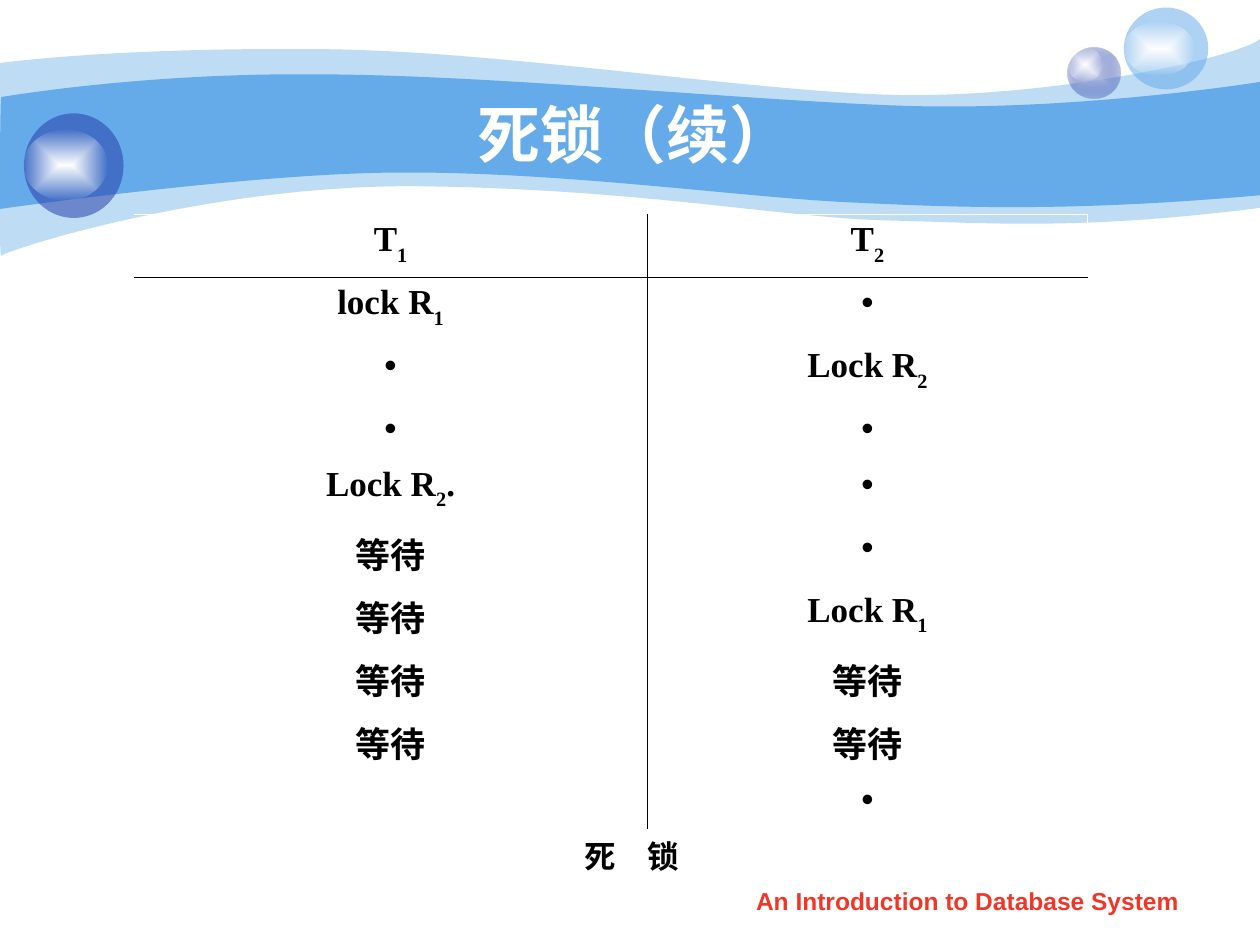
from lxml import etree
from pptx import Presentation, util as u
from pptx.dml.color import RGBColor
from pptx.enum import shapes, text
from pptx.oxml.ns import qn

# Content: an underscore puts the next character in subscript
TITLE = "死锁（续）"
SCHEDULE = [
    ("T_1", "T_2"),
    ("lock R_1", "•"),
    ("•", "Lock R_2"),
    ("•", "•"),
    ("Lock R_2.", "•"),
    ("等待", "•"),
    ("等待", "Lock R_1"),
    ("等待", "等待"),
    ("等待", "等待"),
    ("", "•"),
]
OUTCOME = "死　锁"
FOOTER = "An Introduction to Database System"

THEME = {
    "sky": "65AAE9", "navy": "233DA9", "pale": "C6CCE8", "white": "FFFFFF",
    "glow": "FEFEFE", "ink": "000000", "rule": 0.45,
    "title": {"size": u.Pt(36), "name": "Arial", "bold": True, "color": "FFFFFF"},
    "cell": {"size": u.Pt(20), "name": "Times New Roman", "bold": True, "color": "000000"},
    "outcome": {"size": u.Pt(18), "name": "Times New Roman", "bold": True, "color": "000000"},
    "footer": {"size": u.Pt(14), "name": "Arial", "bold": True, "color": "F03628"},
}

# Layout in inches
WIDTH, HEIGHT = 10, 7.5
TABLE_AT = (1.06, 1.7)
COLUMNS = (4.08, 3.49)
TALL, SHORT = 0.5, 0.44
ROWS = [TALL] * 3 + [SHORT] + [TALL] * 5 + [SHORT]
HANGING = 0.38
FRAME = {"margin_left": u.Inches(0.1), "margin_right": u.Inches(0.1),
         "margin_top": u.Inches(0.05), "margin_bottom": u.Inches(0.05)}

# Wave outlines: a start point, then a line (x, y) or a Bezier curve (six numbers)
WAVES = [
    (41, [(0, 0.5), (0.24, 0.47, 1.07, 0.38, 2.47, 0.39),
          (3.86, 0.39, 5.75, 0.7, 6.99, 0.75), (8.22, 0.8, 9.8, 0.47, 10, 0.31),
          (10, 1.65), (8.58, 1.83, 7.87, 1.77, 7.05, 1.75),
          (6.22, 1.73, 5.15, 1.51, 3.43, 1.48), (1.72, 1.44, 0.04, 1.99, 0.01, 2.03),
          (-0.01, 2.08, 0, 0.75, 0, 0.5)]),
    (100, [(0.01, 0.77), (0.02, 0.77, 1.1, 0.58, 2.48, 0.59),
           (3.86, 0.59, 5.95, 0.8, 7.18, 0.84), (8.41, 0.88, 9.76, 0.69, 10, 0.65),
           (10, 1.55), (8.53, 1.68, 7.65, 1.65, 6.82, 1.61),
           (5.99, 1.58, 4.47, 1.36, 3.17, 1.37), (2.03, 1.37, -0.02, 1.66, -0.01, 1.66),
           (0, 1.66, 0, 0.77, 0.01, 0.77)]),
]

# Bubbles: body and highlight boxes, body colour stops as (colour, alpha)
BUBBLES = [
    ((8.47, 0.38, 0.42, 0.4), (8.47, 0.38, 0.28, 0.27),
     [(THEME["pale"], 100), (THEME["navy"], 31)]),
    ((8.92, 0.06, 0.67, 0.65), (8.92, 0.17, 0.56, 0.43), [(THEME["sky"], 53)]),
    ((0.19, 0.9, 0.79, 0.83), (0.19, 1.03, 0.66, 0.56), [(THEME["navy"], 53)]),
]
HIGHLIGHT = [(THEME["white"], 100), (THEME["glow"], 0)]


def inches(*lengths):
    return [u.Inches(length) for length in lengths]


def add_color(parent, color, alpha=100):
    clr = etree.SubElement(parent, qn("a:srgbClr"), val=color)
    if alpha < 100:
        etree.SubElement(clr, qn("a:alpha"), val=str(alpha * 1000))


def paint(shape, stops):
    """One stop gives a solid fill, two a gradient out from the centre."""
    shape.shadow.inherit = False
    shape.line.fill.background()
    if len(stops) == 1:
        fill = etree.Element(qn("a:solidFill"))
        add_color(fill, *stops[0])
    else:
        fill = etree.Element(qn("a:gradFill"), rotWithShape="1")
        stop_list = etree.SubElement(fill, qn("a:gsLst"))
        for position, stop in zip((0, 100000), stops):
            add_color(etree.SubElement(stop_list, qn("a:gs"), pos=str(position)), *stop)
        gradient = etree.SubElement(fill, qn("a:path"), path="rect")
        etree.SubElement(gradient, qn("a:fillToRect"), {side: "50000" for side in "ltrb"})
    shape.element.spPr.find(qn("a:ln")).addprevious(fill)


def add_wave(slide, outline):
    """Join the anchors by lines, then bend the lines that are curves."""
    start, *anchors = [inches(*segment[-2:]) for segment in outline]
    builder = slide.shapes.build_freeform(*start)
    builder.add_line_segments(anchors, close=True)
    wave = builder.convert_to_shape()
    lines = list(wave.element.spPr.iter(qn("a:lnTo")))
    for line, segment in zip(lines, outline[1:]):
        if len(segment) == 2:
            continue
        curve = etree.Element(qn("a:cubicBezTo"))
        for x, y in zip(inches(*segment[::2]), inches(*segment[1::2])):
            etree.SubElement(curve, qn("a:pt"), x=str(x - wave.left), y=str(y - wave.top))
        line.getparent().replace(line, curve)
    return wave


def write(paragraph, content, style, hanging=0):
    paragraph.alignment = text.PP_ALIGN.CENTER
    if hanging:
        margin = u.Inches(hanging)
        paragraph._p.get_or_add_pPr().set("marL", str(margin))
        paragraph._p.get_or_add_pPr().set("indent", str(-margin))
    base, _, tail = content.partition("_")
    for part, shift in ((base, 0), (tail[:1], -30), (tail[1:], 0)):
        if not part:
            continue
        run = paragraph.add_run()
        run.text = part
        for key, value in style.items():
            if key == "color":
                run.font.color.rgb = RGBColor.from_string(value)
            else:
                setattr(run.font, key, value)
        if shift:
            run.font._element.set("baseline", str(shift * 1000))


def add_label(slide, box, content, style, hanging=0, **frame_format):
    frame = slide.shapes.add_textbox(*inches(*box)).text_frame
    for key, value in {**FRAME, "word_wrap": True, **frame_format}.items():
        setattr(frame, key, value)
    write(frame.paragraphs[0], content, style, hanging)


def set_borders(cell, colors):
    """Draw the sides in colors and switch the others off."""
    properties = cell._tc.get_or_add_tcPr()
    for side in "LRTB":
        line = etree.SubElement(properties, qn(f"a:ln{side}"), w=str(u.Pt(THEME["rule"])))
        if side in colors:
            add_color(etree.SubElement(line, qn("a:solidFill")), colors[side])
        else:
            etree.SubElement(line, qn("a:noFill"))


def add_schedule(slide):
    table = slide.shapes.add_table(len(ROWS), len(COLUMNS), *inches(
        *TABLE_AT, sum(COLUMNS), sum(ROWS))).table
    table.first_row = table.horz_banding = False
    for column, width in zip(table.columns, COLUMNS):
        column.width = u.Inches(width)
    ink, white = THEME["ink"], THEME["white"]
    last = len(ROWS) - 1
    for r, (row, height) in enumerate(zip(table.rows, ROWS)):
        row.height = u.Inches(height)
        for c, cell in enumerate(row.cells):
            for key, value in FRAME.items():
                setattr(cell, key, value)
            borders = {"R": ink} if c == 0 else {"L": ink, "R": white}
            if r <= 1:
                borders["T"] = ink if r else white
            if r in (0, last):
                borders["B"] = white if r else ink
            set_borders(cell, borders)
            cell.fill.background()
            write(cell.text_frame.paragraphs[0], SCHEDULE[r][c], THEME["cell"], HANGING)


def main():
    deck = Presentation()
    deck.slide_width, deck.slide_height = inches(WIDTH, HEIGHT)
    slide = deck.slides.add_slide(deck.slide_layouts[6])

    # Waves
    for alpha, outline in WAVES:
        paint(add_wave(slide, outline), [(THEME["sky"], alpha)])

    # Bubbles
    for body, highlight, stops in BUBBLES:
        bubble = slide.shapes.add_group_shape()
        for box, colors in ((body, stops), (highlight, HIGHLIGHT)):
            paint(bubble.shapes.add_shape(shapes.MSO_SHAPE.OVAL, *inches(*box)), colors)

    # Title, schedule, outcome and footer
    add_label(slide, (1, 0.75, 8.08, 0.62), TITLE, THEME["title"],
              vertical_anchor=text.MSO_ANCHOR.MIDDLE)
    add_schedule(slide)
    add_label(slide, (4.17, 6.59, 1.68, 0.4), OUTCOME, THEME["outcome"], HANGING,
              word_wrap=False, auto_size=text.MSO_AUTO_SIZE.SHAPE_TO_FIT_TEXT)
    add_label(slide, (5.71, 6.98, 3.94, 0.35), FOOTER, THEME["footer"])
    deck.save("out.pptx")


if __name__ == "__main__":
    main()
